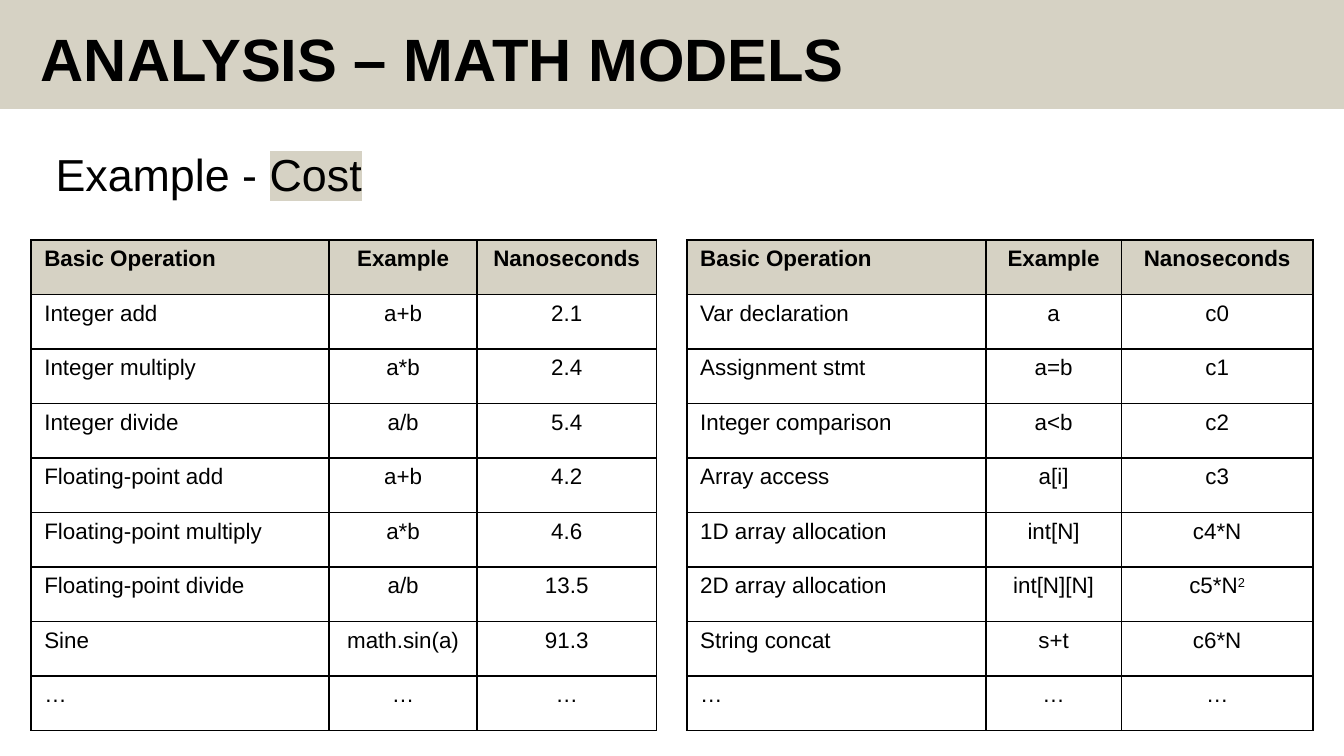
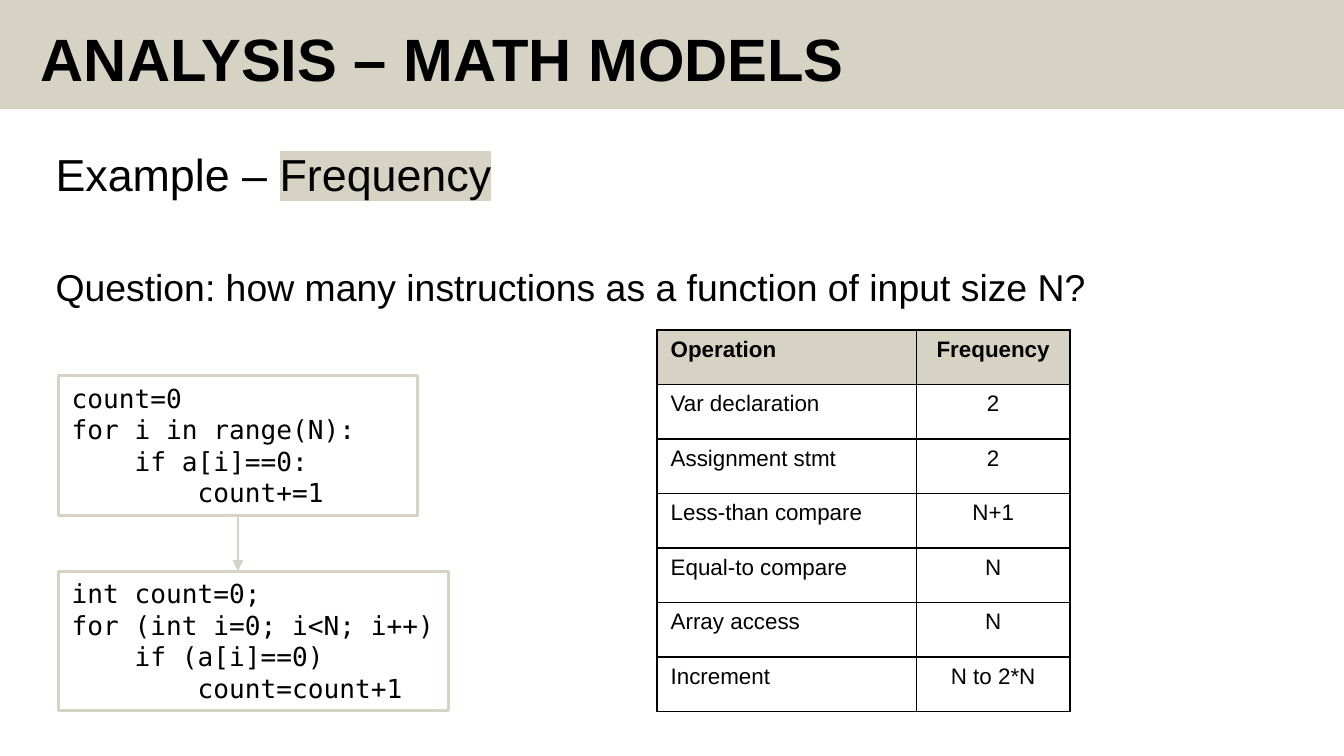
from dataclasses import dataclass
from lxml.etree import SubElement
from pptx import Presentation
from pptx.dml.color import RGBColor
from pptx.enum.shapes import MSO_CONNECTOR, MSO_SHAPE
from pptx.enum.text import MSO_ANCHOR, MSO_AUTO_SIZE, PP_ALIGN
from pptx.oxml.ns import qn
from pptx.util import Inches, Pt


@dataclass(frozen=True)
class Theme:
    """Colours, fonts, type sizes and line widths."""
    ink: str = "000000"
    sand: str = "D6D2C4"
    sans: str = "Arial"
    mono: str = "DejaVu Sans Mono"
    title: int = 32
    head: int = 24
    body: int = 20
    code: int = 14
    cell: int = 12
    thin: float = 1
    edge: float = 1.5


def put(item, vals):
    """Set each attribute in vals on item."""
    for name, val in vals.items():
        setattr(item, name, val)


class Deck:
    """Draws on a grid of 100 columns by 56.25 rows."""

    def __init__(self, theme):
        """Open an empty deck with its slide size."""
        self.theme = theme
        self.deck = Presentation()
        put(self.deck, {"slide_width": self.unit(100), "slide_height": self.unit(56.25)})

    def unit(self, count):
        """Turn grid columns or rows into a length."""
        return Inches(count / 10)

    def area(self, *spans):
        """Turn left, top, width and height into lengths."""
        return [self.unit(span) for span in spans]

    def run(self, para, text, size, bold=False, face=None, mark=False, rise=False):
        """Add one styled run to a paragraph."""
        run = para.add_run()
        run.text = text
        put(run.font, {"size": Pt(size), "bold": bold, "name": face or self.theme.sans})
        run.font.color.rgb = RGBColor.from_string(self.theme.ink)
        props = run.font._element
        if rise:
            props.set("baseline", "30000")
        if mark:
            tint = SubElement(props, qn("a:highlight"))
            SubElement(tint, qn("a:srgbClr"), val=self.theme.sand)
            props.find(qn("a:latin")).addprevious(tint)

    def page(self, title):
        """Start a slide with its band and title."""
        self.shapes = self.deck.slides.add_slide(self.deck.slide_layouts[6]).shapes
        band = self.shapes.add_shape(MSO_SHAPE.RECTANGLE, *self.area(0, 0, 100, 8.1))
        band.shadow.inherit = False
        band.fill.solid()
        band.fill.fore_color.rgb = RGBColor.from_string(self.theme.sand)
        band.line.fill.background()
        frame = self.frame((2.05, 1.7, 86.2, 6.4), MSO_ANCHOR.MIDDLE)
        frame.margin_bottom = self.unit(1)
        frame.paragraphs[0].line_spacing = 0.9
        self.run(frame.paragraphs[0], title, self.theme.title, bold=True)

    def frame(self, box, anchor):
        """Add a wrapping text box and return its frame."""
        frame = self.shapes.add_textbox(*self.area(*box)).text_frame
        put(frame, {"word_wrap": True, "vertical_anchor": anchor})
        return frame

    def body(self, lead, term, ask=None):
        """Add the heading with its marked term and a question."""
        frame = self.frame((3.15, 10.9, 91.4, 41), MSO_ANCHOR.TOP)
        para = frame.paragraphs[0]
        para.line_spacing = 0.9
        self.run(para, lead, self.theme.head)
        self.run(para, term, self.theme.head, mark=True)
        if ask:
            para = frame.add_paragraph()
            put(para, {"line_spacing": 0.9, "space_before": Pt(36.5)})
            self.run(para, ask, self.theme.body)

    def code(self, box, text):
        """Add a framed block of code."""
        shape = self.shapes.add_shape(MSO_SHAPE.RECTANGLE, *self.area(*box))
        shape.shadow.inherit = False
        shape.fill.background()
        shape.line.color.rgb = RGBColor.from_string(self.theme.sand)
        shape.line.width = Pt(self.theme.edge)
        frame = shape.text_frame
        put(frame, {"word_wrap": False, "auto_size": MSO_AUTO_SIZE.SHAPE_TO_FIT_TEXT,
                    "vertical_anchor": MSO_ANCHOR.TOP})
        for row, line in enumerate(text.splitlines()):
            para = frame.add_paragraph() if row else frame.paragraphs[0]
            para.alignment = PP_ALIGN.LEFT
            self.run(para, line, self.theme.code, face=self.theme.mono)

    def arrow(self, *ends):
        """Add an arrow between two grid points."""
        link = self.shapes.add_connector(MSO_CONNECTOR.STRAIGHT, *self.area(*ends))
        link.line.color.rgb = RGBColor.from_string(self.theme.sand)
        link.line.width = Pt(self.theme.thin)
        props = link._element.spPr
        SubElement(props.find(qn("a:ln")), qn("a:tailEnd"), type="triangle")
        SubElement(props, qn("a:effectLst"))

    def border(self, cell):
        """Draw thin lines on all four sides of a cell."""
        props = cell._tc.get_or_add_tcPr()
        for side in "LRTB":
            line = SubElement(props, qn("a:ln" + side), w=str(Pt(self.theme.thin)))
            fill = SubElement(line, qn("a:solidFill"))
            SubElement(fill, qn("a:srgbClr"), val=self.theme.ink)

    def table(self, left, top, high, wides, rows):
        """Add a table with a tinted head; ^ raises what follows it."""
        box = self.area(left, top, sum(wides), high)
        grid = self.shapes.add_table(len(rows), len(wides), *box).table
        put(grid, {"first_row": False, "horz_banding": False})
        for col, wide in zip(grid.columns, wides):
            col.width = self.unit(wide)
        for y, row in enumerate(rows):
            grid.rows[y].height = self.unit(high / len(rows))
            for x, text in enumerate(row):
                cell = grid.cell(y, x)
                self.border(cell)
                if y:
                    cell.fill.background()
                else:
                    cell.fill.solid()
                    cell.fill.fore_color.rgb = RGBColor.from_string(self.theme.sand)
                para = cell.text_frame.paragraphs[0]
                para.alignment = PP_ALIGN.CENTER if x else PP_ALIGN.LEFT
                for rise, part in enumerate(text.split("^")):
                    self.run(para, part, self.theme.cell, bold=not y, rise=bool(rise))


TITLE = "ANALYSIS – MATH MODELS"
HEADS = ("Basic Operation", "Example", "Nanoseconds")
DOTS = ("…",) * 3

TIMES = [
    HEADS,
    ("Integer add", "a+b", "2.1"),
    ("Integer multiply", "a*b", "2.4"),
    ("Integer divide", "a/b", "5.4"),
    ("Floating-point add", "a+b", "4.2"),
    ("Floating-point multiply", "a*b", "4.6"),
    ("Floating-point divide", "a/b", "13.5"),
    ("Sine", "math.sin(a)", "91.3"),
    DOTS,
]

COSTS = [
    HEADS,
    ("Var declaration", "a", "c0"),
    ("Assignment stmt", "a=b", "c1"),
    ("Integer comparison", "a<b", "c2"),
    ("Array access", "a[i]", "c3"),
    ("1D array allocation", "int[N]", "c4*N"),
    ("2D array allocation", "int[N][N]", "c5*N^2"),
    ("String concat", "s+t", "c6*N"),
    DOTS,
]

COUNTS = [
    ("Operation", "Frequency"),
    ("Var declaration", "2"),
    ("Assignment stmt", "2"),
    ("Less-than compare", "N+1"),
    ("Equal-to compare", "N"),
    ("Array access", "N"),
    ("Increment", "N to 2*N"),
]

PYTHON = """count=0
for i in range(N):
    if a[i]==0:
        count+=1"""

JAVA = """int count=0;
for (int i=0; i<N; i++)
    if (a[i]==0)
        count=count+1"""


def main():
    """Build both slides and save the deck."""
    deck = Deck(Theme())

    deck.page(TITLE)
    deck.body("Example - ", "Cost")
    deck.table(2.3, 17.85, 36.5, (22.2, 11, 13.35), TIMES)
    deck.table(51.1, 17.85, 36.5, (22.25, 10.1, 14.25), COSTS)

    deck.page(TITLE)
    deck.body("Example – ", "Frequency",
              "Question: how many instructions as a function of input size N?")
    deck.code((4.35, 27.95, 26.7, 10.4), PYTHON)
    deck.code((4.35, 42.5, 29, 10.4), JAVA)
    deck.arrow(17.7, 38.4, 17.7, 42.5)
    deck.table(48.9, 24.55, 28.4, (19.3, 11.4), COUNTS)

    deck.deck.save("out.pptx")


if __name__ == "__main__":
    main()
